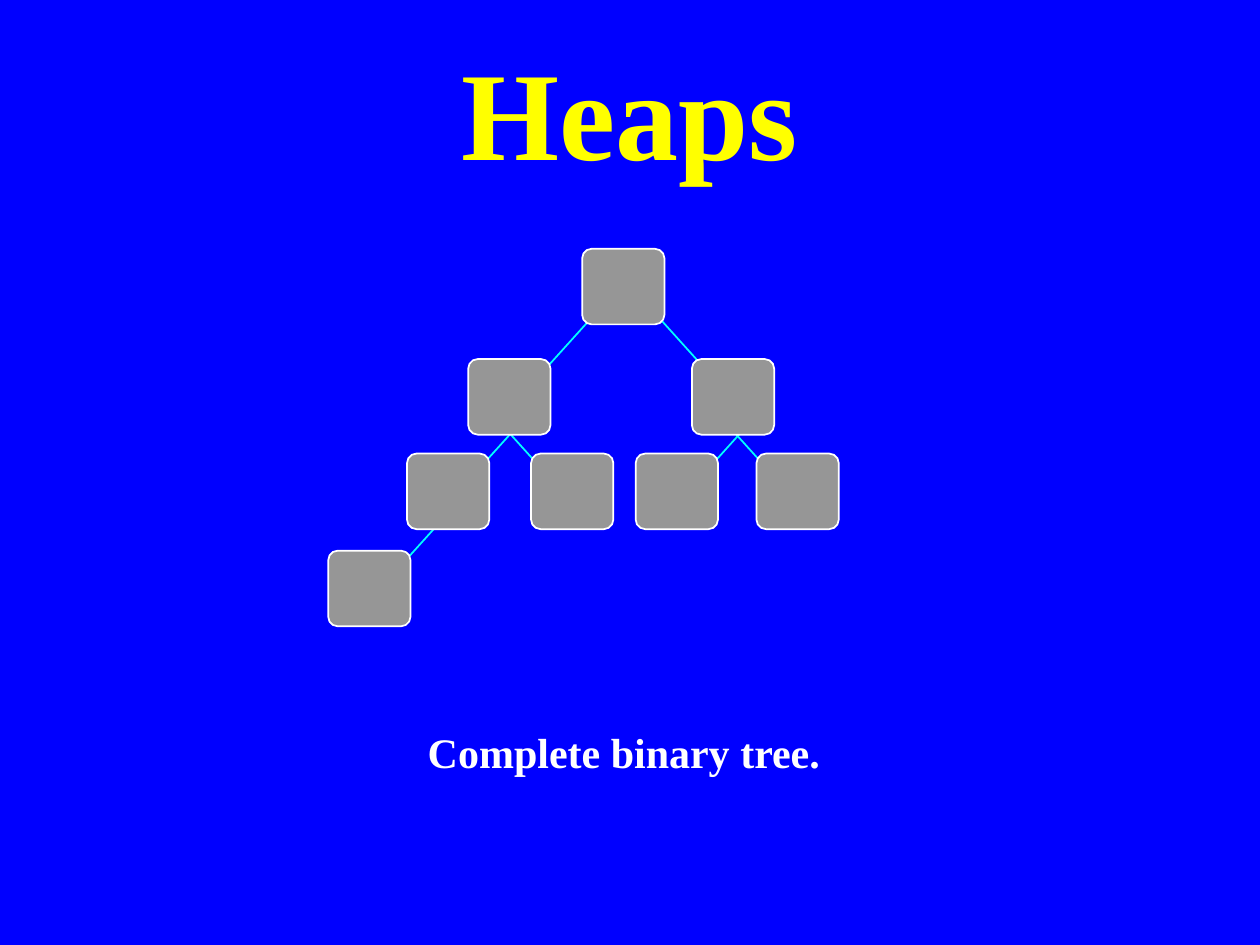
from dataclasses import dataclass

from lxml import etree
from pptx import Presentation
from pptx.dml.color import RGBColor
from pptx.enum import shapes, text
from pptx.oxml import ns
from pptx.util import Pt


@dataclass(frozen=True)
class Theme:
    background: str = "0000FF"
    title: str = "FFFF00"
    caption: str = "FFFFFF"
    shadow: str = "000000"
    node: str = "969696"
    outline: str = "FFFFFF"
    edge: str = "00FFFF"
    font: str = "Times New Roman"
    title_size: int = 72
    caption_size: int = 24
    line_width: int = 1


THEME = Theme()

# Tree geometry in points
NODE_WIDTH, NODE_HEIGHT = 47, 43.2
LEVELS = [
    (142.2, [332.7]),
    (205.2, [267.6, 395.4]),
    (259.2, [232.6, 303.5, 363.3, 432.3]),
    (314.7, [187.6]),
]
EDGE_RUN, EDGE_RISE = 33.7, 37.4
LEFT, RIGHT = -1, 1
EDGES = [
    (336.2, 183.6, LEFT), (375.8, 180.7, RIGHT),
    (301, 237.6, LEFT), (282.2, 237.6, RIGHT),
    (432, 237.6, LEFT), (411.1, 237.6, RIGHT),
    (256.3, 293, LEFT),
]


def set_values(target, values):
    for name, value in values.items():
        setattr(target, name, value)


def color(value):
    return RGBColor.from_string(value)


def fill_placeholder(placeholder, words, box, size, font_color, anchor):
    """Place a one-paragraph placeholder and return its run."""
    set_values(placeholder, dict(zip(("left", "top", "width", "height"), map(Pt, box))))
    frame = placeholder.text_frame
    set_values(frame, {
        "text": words, "word_wrap": True, "vertical_anchor": anchor,
        "auto_size": text.MSO_AUTO_SIZE.NONE,
        "margin_left": Pt(5), "margin_right": Pt(5),
        "margin_top": Pt(3), "margin_bottom": Pt(3),
    })
    paragraph = frame.paragraphs[0]
    set_values(paragraph, {"alignment": text.PP_ALIGN.CENTER, "space_before": Pt(0)})
    run = paragraph.runs[0]
    set_values(run.font, {"name": THEME.font, "size": Pt(size), "bold": True})
    run.font.color.rgb = color(font_color)
    return run


def remove_bullet(paragraph):
    properties = paragraph._p.get_or_add_pPr()
    properties.set("marL", "0")
    properties.set("indent", "0")
    etree.SubElement(properties, ns.qn("a:buNone"))


def add_text_shadow(run):
    properties = run._r.get_or_add_rPr()
    effects = etree.Element(ns.qn("a:effectLst"))
    shadow = etree.SubElement(effects, ns.qn("a:outerShdw"),
                              dist=str(Pt(9)), dir="2700000")
    etree.SubElement(shadow, ns.qn("a:srgbClr"), val=THEME.shadow)
    properties.find(ns.qn("a:solidFill")).addnext(effects)


def style_line(line, line_color):
    line.color.rgb = color(line_color)
    line.width = Pt(THEME.line_width)


def add_edge(slide, x, y, direction):
    edge = slide.shapes.add_connector(
        shapes.MSO_CONNECTOR.STRAIGHT, Pt(x), Pt(y),
        Pt(x + direction * EDGE_RUN), Pt(y + EDGE_RISE))
    style_line(edge.line, THEME.edge)
    etree.SubElement(edge._element.spPr, ns.qn("a:effectLst"))


def add_node(slide, left, top):
    node = slide.shapes.add_shape(
        shapes.MSO_SHAPE.ROUNDED_RECTANGLE,
        Pt(left), Pt(top), Pt(NODE_WIDTH), Pt(NODE_HEIGHT))
    node.adjustments[0] = 0.125
    node.shadow.inherit = False
    node.fill.solid()
    node.fill.fore_color.rgb = color(THEME.node)
    style_line(node.line, THEME.outline)


def main():
    presentation = Presentation()
    set_values(presentation, {"slide_width": Pt(720), "slide_height": Pt(540)})
    slide = presentation.slides.add_slide(presentation.slide_layouts[1])
    slide.background.fill.solid()
    slide.background.fill.fore_color.rgb = color(THEME.background)

    # Title and caption
    title = fill_placeholder(slide.shapes.title, "Heaps", (54, 18, 612, 90),
                             THEME.title_size, THEME.title, text.MSO_ANCHOR.MIDDLE)
    add_text_shadow(title)
    caption = slide.placeholders[1]
    fill_placeholder(caption, "Complete binary tree.", (213, 412, 287, 57),
                     THEME.caption_size, THEME.caption, text.MSO_ANCHOR.TOP)
    remove_bullet(caption.text_frame.paragraphs[0])

    # Tree: edges lie behind the nodes
    for edge in EDGES:
        add_edge(slide, *edge)
    for top, lefts in LEVELS:
        for left in lefts:
            add_node(slide, left, top)

    presentation.save("out.pptx")


if __name__ == "__main__":
    main()
